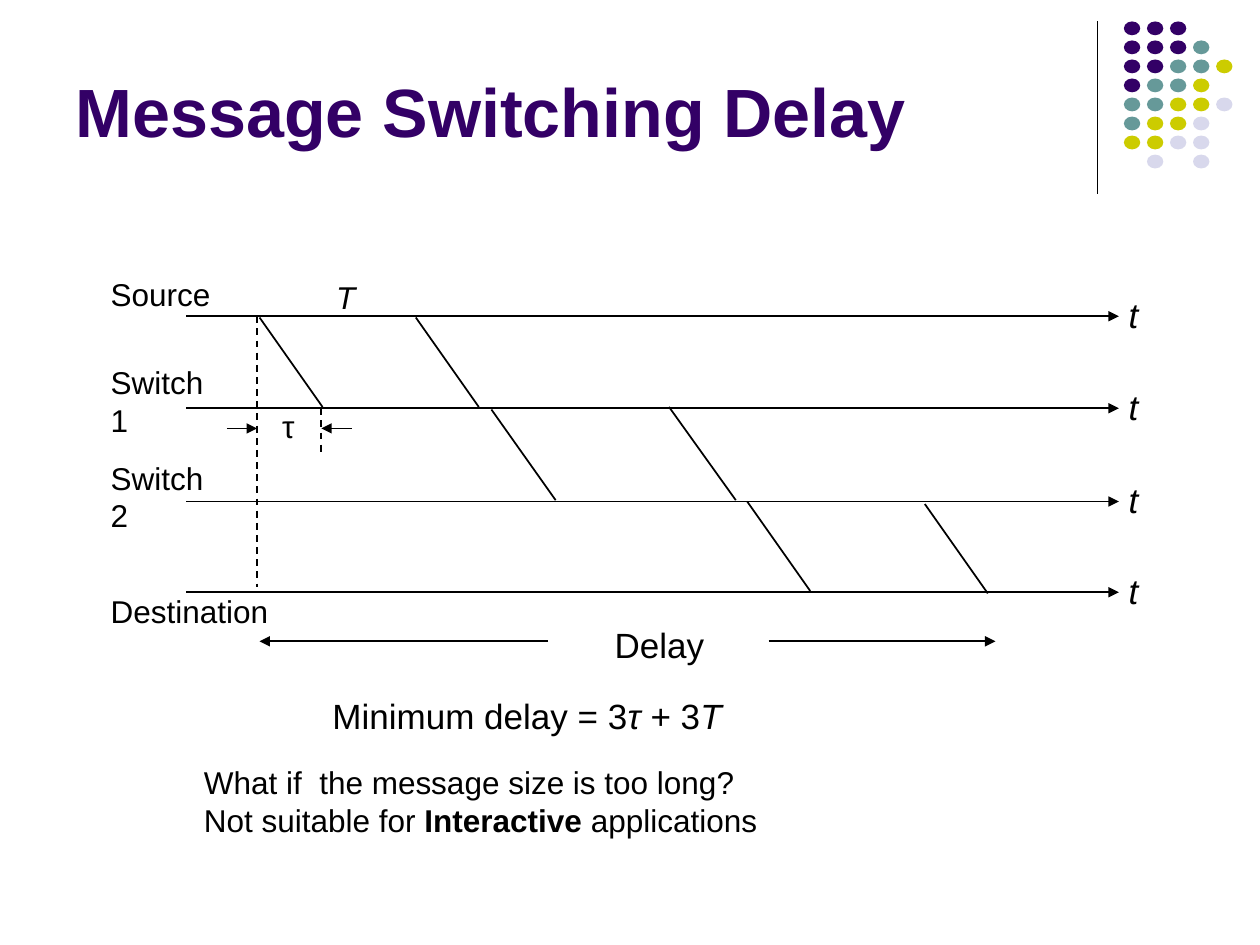
import pptx
import pptx.util
from pptx.dml.color import RGBColor
from pptx.enum.dml import MSO_LINE
from pptx.enum.shapes import MSO_CONNECTOR, MSO_SHAPE
from pptx.enum.text import MSO_ANCHOR, MSO_AUTO_SIZE, PP_ALIGN
from pptx.oxml.ns import qn
from lxml import etree

Inches, Pt = pptx.util.Inches, pptx.util.Pt
COLORS = {"purple": "330066", "teal": "669999", "olive": "CCCC00",
          "lavender": "D8D8EC", "black": "000000"}
FONT = "Arial"

prs = pptx.Presentation()
prs.slide_width, prs.slide_height = Inches(10), Inches(7.5)
s = prs.slides.add_slide(prs.slide_layouts[5])


def add_line(x1, y1, x2, y2, width=1, arrow=False, dash=False):
    """Draw a black line; an arrow points at (x2, y2)."""
    c = s.shapes.add_connector(MSO_CONNECTOR.STRAIGHT, Inches(x1), Inches(y1),
                               Inches(x2), Inches(y2))
    c.line.color.rgb = RGBColor.from_string(COLORS["black"])
    c.line.width = Pt(width)
    if dash:
        c.line.dash_style = MSO_LINE.DASH
    if arrow:
        etree.SubElement(c.line._get_or_add_ln(), qn("a:tailEnd"), type="triangle")
    etree.SubElement(c._element.spPr, qn("a:effectLst"))


def add_text(x, y, w, h, size, paragraphs, wrap=False):
    """Add a text box; each paragraph is a list of (text, style) runs."""
    tf = s.shapes.add_textbox(Inches(x), Inches(y), Inches(w), Inches(h)).text_frame
    tf.word_wrap = wrap
    tf.auto_size = MSO_AUTO_SIZE.SHAPE_TO_FIT_TEXT
    for i, runs in enumerate(paragraphs):
        p = tf.add_paragraph() if i else tf.paragraphs[0]
        for text, style in runs:
            r = p.add_run()
            r.text = text
            r.font.name, r.font.size = FONT, Pt(size)
            r.font.color.rgb = RGBColor.from_string(COLORS["black"])
            r.font.italic = style == "italic"
            r.font.bold = style == "bold"


# Corner decoration: a rule and a grid of dots
add_line(8.71, 0.17, 8.71, 1.54, width=0.75)
dot_colors = {"P": "purple", "T": "teal", "O": "olive", "L": "lavender"}
dot_rows = ["PPP", "PPPT", "PPTTO", "PTTO", "TTOOL", "TOOL", "OOLL", " L L"]
for row, codes in enumerate(dot_rows):
    for col, code in enumerate(codes):
        if code == " ":
            continue
        sp = s.shapes.add_shape(MSO_SHAPE.OVAL, Inches(8.92 + 0.183 * col),
                                Inches(0.17 + 0.151 * row), Inches(0.13), Inches(0.11))
        sp.shadow.inherit = False
        sp.fill.solid()
        sp.fill.fore_color.rgb = RGBColor.from_string(COLORS[dot_colors[code]])
        sp.line.fill.background()

# Title
title = s.shapes.title
title.left, title.top = Inches(0.5), Inches(0.13)
title.width, title.height = Inches(8.25), Inches(1.12)
tf = title.text_frame
tf.text = "Message Switching Delay"
tf.vertical_anchor = MSO_ANCHOR.BOTTOM
p = tf.paragraphs[0]
p.alignment = PP_ALIGN.LEFT
font = p.runs[0].font
font.name, font.size, font.bold = FONT, Pt(39), True
font.color.rgb = RGBColor.from_string(COLORS["purple"])

# Time axis of each node: axis height, label, label top, label width
nodes = [(2.51, "Source", 2.13, 0.99), (3.24, "Switch 1", 2.83, 1.14),
         (3.98, "Switch 2", 3.59, 1.14), (4.7, "Destination", 4.65, 1.45)]
for y, name, label_y, label_w in nodes:
    add_line(1.48, y, 8.88, y, arrow=True)
    add_text(8.86, y - 0.23, 0.27, 0.43, 20, [[("t", "italic")]])
    add_text(0.78, label_y, label_w, 0.4, 18, [[(name, None)]])

# First and last bit of the message on each hop
hops = [(2.06, 2.52, 2.56, 3.23), (3.3, 2.52, 3.8, 3.23),
        (3.9, 3.25, 4.41, 3.97), (5.31, 3.23, 5.84, 3.97),
        (5.93, 3.98, 6.43, 4.69), (7.34, 4, 7.84, 4.71)]
for hop in hops:
    add_line(*hop)

# Transmission time T and propagation time τ
add_text(2.57, 2.16, 0.35, 0.4, 18, [[("T", "italic")]])
add_text(2.14, 3.18, 0.31, 0.4, 18, [[("τ", None)]])
add_line(2.04, 2.51, 2.04, 4.66, dash=True)
add_line(2.55, 3.24, 2.55, 3.62, dash=True)
add_line(1.8, 3.4, 2.04, 3.4, width=0.75, arrow=True)
add_line(2.79, 3.4, 2.55, 3.4, width=0.75, arrow=True)

# Total delay
add_line(4.35, 5.09, 2.06, 5.09, arrow=True)
add_line(6.1, 5.09, 7.9, 5.09, arrow=True)
add_text(4.78, 4.9, 0.91, 0.43, 20, [[("Delay", None)]])
add_text(2.54, 5.46, 3.3, 0.43, 20,
         [[("Minimum delay = 3", None), ("τ", "italic"), (" + 3", None), ("T", "italic")]])

add_text(1.52, 6.01, 5.27, 0.7, 18,
         [[("What if  the message size is too long?", None)],
          [("Not suitable for ", None), ("Interactive ", "bold"), ("applications", None)]],
         wrap=True)

prs.save("out.pptx")
